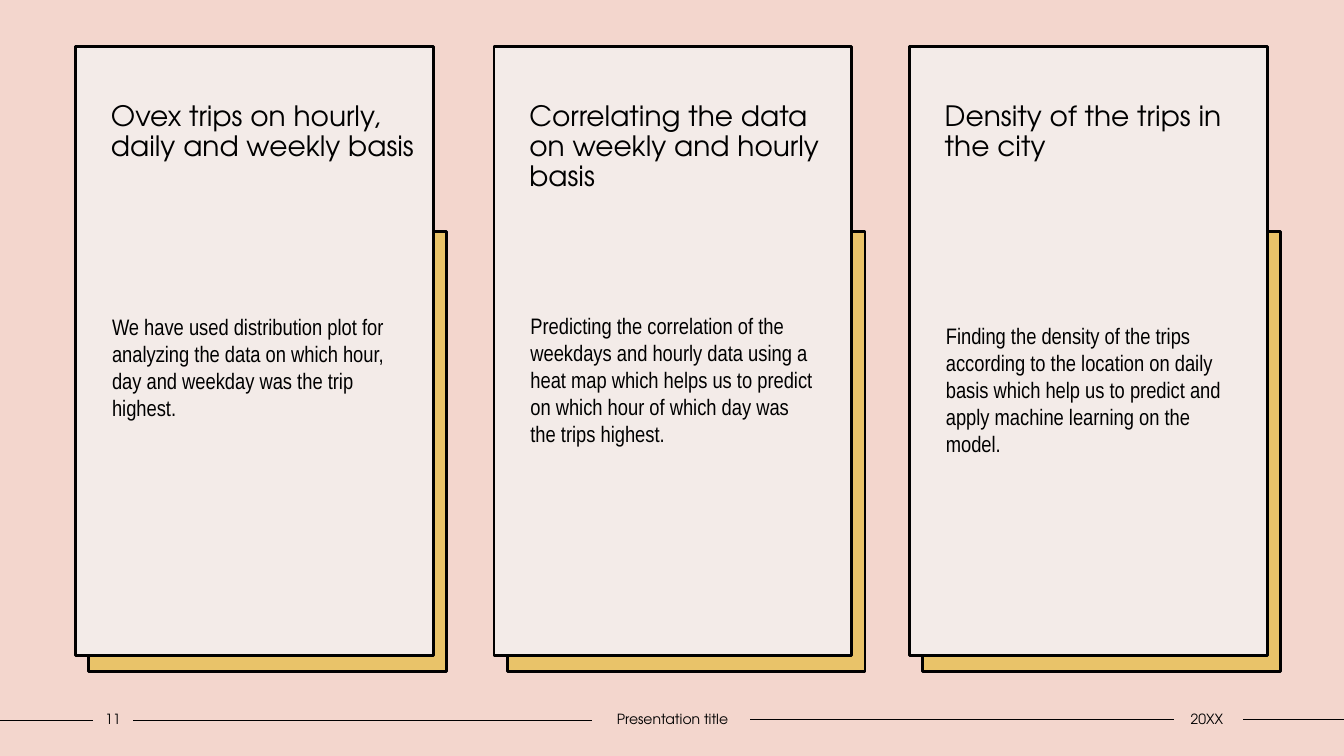
"""Three offset-shadow cards summarising trip analyses, above a ruled footer."""
from typing import NamedTuple

from lxml.etree import SubElement
from pptx import Presentation
from pptx.dml.color import RGBColor
from pptx.enum.shapes import MSO_CONNECTOR, MSO_SHAPE
from pptx.enum.text import MSO_ANCHOR, PP_ALIGN
from pptx.oxml.ns import qn
from pptx.util import Inches, Pt

WIDTH, HEIGHT = Inches(13.33), Inches(7.5)
INK, PAPER, GOLD, PINK = "000000", "F3EBE8", "E9C369", "F3D6CD"
DISPLAY, TEXT = "TeX Gyre Adventor", "Arial Narrow"
CARD_TOP, CARD_WIDTH, CARD_HEIGHT = 6.13, 26.63, 80.53
SHADOW_SHIFT, SHADOW_TOP, SHADOW_HEIGHT = 0.98, 30.67, 58.13
BODY_SHIFT, BODY_WIDTH, BODY_BOTTOM = 1.97, 22.5, 83.6
LABEL_TOP, LABEL_HEIGHT = 93.33, 3.6


class Card(NamedTuple):
    left: float
    heading: str
    body_top: float
    body: str


class Rule(NamedTuple):
    start: float
    end: float
    y: float


class Label(NamedTuple):
    left: float
    width: float
    text: str


CARDS = [
    Card(5.63, "Ovex trips on hourly, daily and weekly basis", 40.8,
         "We have used distribution plot for analyzing the data on which hour, "
         "day and weekday was the trip highest."),
    Card(36.76, "Correlating the data on weekly and hourly basis", 40.67,
         "Predicting the correlation of the weekdays and hourly data using a heat map "
         "which helps us to predict on which hour of which day was the trips highest."),
    Card(67.67, "Density of the trips in the city", 42,
         "Finding the density of the trips according to the location on daily basis "
         "which help us to predict and apply machine learning on the model."),
]
RULES = [Rule(0, 6.9, 95.33), Rule(9.9, 44.04, 95.33),
         Rule(55.81, 87.32, 95.2), Rule(92.5, 100, 95.2)]
LABELS = [Label(6.9, 3, "11"), Label(44.04, 12, "Presentation title"),
          Label(87.17, 5.25, "20XX")]


def px(share: float) -> int:
    return round(WIDTH * share / 100)


def py(share: float) -> int:
    return round(HEIGHT * share / 100)


def color(value: str) -> RGBColor:
    return RGBColor.from_string(value)


def add_panel(slide, left: float, top: float, width: float, height: float, fill: str):
    sp = slide.shapes.add_shape(MSO_SHAPE.RECTANGLE, px(left), py(top), px(width), py(height))
    sp.shadow.inherit = False
    sp.fill.solid()
    sp.fill.fore_color.rgb = color(fill)
    sp.line.color.rgb = color(INK)
    sp.line.width = Pt(2)
    return sp


def set_text(sp, text: str, font: str, size: float, margins: tuple[float, ...],
             align=PP_ALIGN.LEFT, anchor=MSO_ANCHOR.TOP):
    tf = sp.text_frame
    tf.word_wrap = True
    tf.vertical_anchor = anchor
    tf.margin_left, tf.margin_top, tf.margin_right, tf.margin_bottom = map(Inches, margins)
    tf.text = text
    p = tf.paragraphs[0]
    p.alignment = align
    r = p.runs[0]
    r.font.name, r.font.size = font, Pt(size)
    r.font.color.rgb = color(INK)
    return p


def add_card(slide, card: Card) -> None:
    add_panel(slide, card.left + SHADOW_SHIFT, SHADOW_TOP, CARD_WIDTH, SHADOW_HEIGHT, GOLD)
    panel = add_panel(slide, card.left, CARD_TOP, CARD_WIDTH, CARD_HEIGHT, PAPER)
    p = set_text(panel, card.heading, DISPLAY, 20, (0.35, 0.55, 0.1, 0.05))
    p.line_spacing, p.space_before = 0.9, Pt(10)
    body = slide.shapes.add_textbox(px(card.left + BODY_SHIFT), py(card.body_top),
                                    px(BODY_WIDTH), py(BODY_BOTTOM - card.body_top))
    set_text(body, card.body, TEXT, 16, (0.1, 0.05, 0.1, 0.05))


def add_rule(slide, rule: Rule) -> None:
    line = slide.shapes.add_connector(MSO_CONNECTOR.STRAIGHT, px(rule.start), py(rule.y),
                                      px(rule.end), py(rule.y))
    line.line.color.rgb = color(INK)
    line.line.width = Pt(1)
    SubElement(line._element.spPr, qn("a:effectLst"))


def add_label(slide, label: Label) -> None:
    box = slide.shapes.add_textbox(px(label.left), py(LABEL_TOP),
                                   px(label.width), py(LABEL_HEIGHT))
    set_text(box, label.text, DISPLAY, 10, (0, 0.05, 0, 0.05),
             PP_ALIGN.CENTER, MSO_ANCHOR.MIDDLE)


def main() -> None:
    prs = Presentation()
    prs.slide_width, prs.slide_height = WIDTH, HEIGHT
    slide = prs.slides.add_slide(prs.slide_layouts[6])
    slide.background.fill.solid()
    slide.background.fill.fore_color.rgb = color(PINK)
    for rule in RULES:
        add_rule(slide, rule)
    for card in CARDS:
        add_card(slide, card)
    for label in LABELS:
        add_label(slide, label)
    prs.save("out.pptx")


if __name__ == "__main__":
    main()
